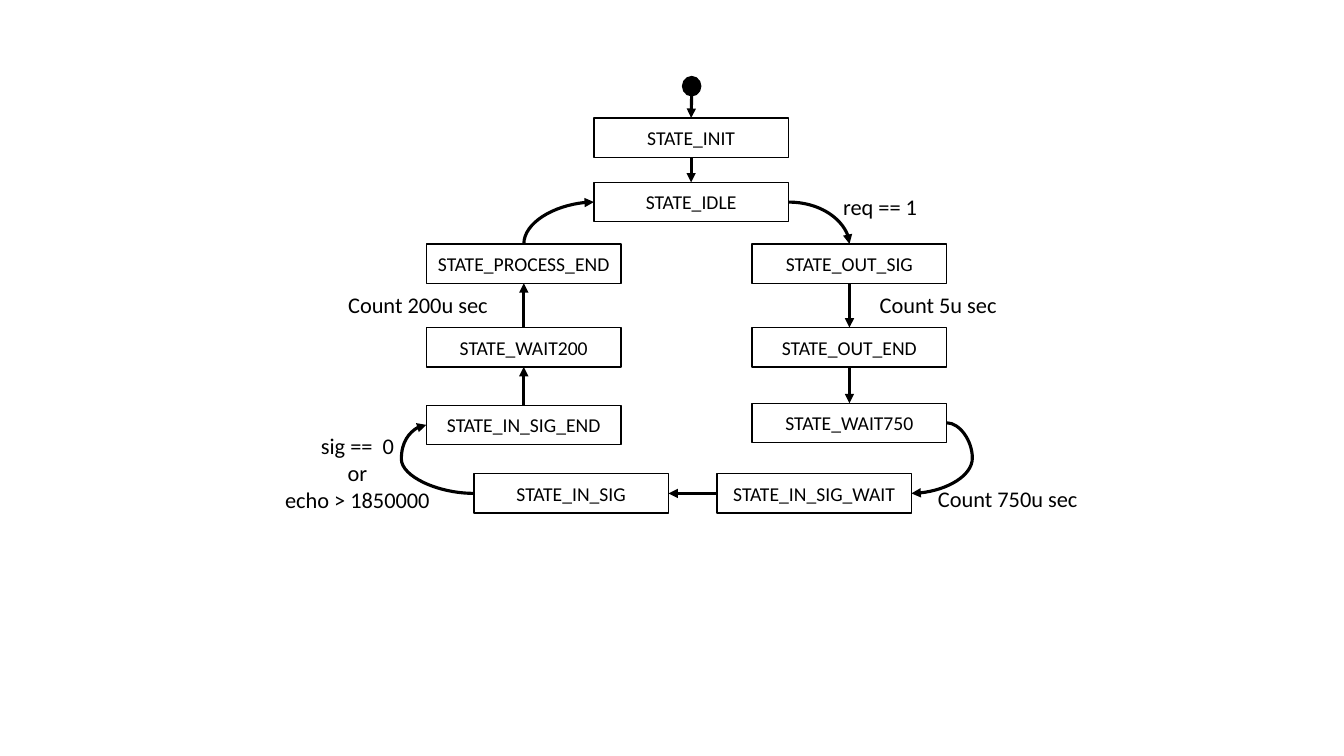
from lxml.etree import SubElement
from pptx import Presentation
from pptx.dml.color import RGBColor
from pptx.enum.shapes import MSO_CONNECTOR, MSO_SHAPE
from pptx.enum.text import MSO_ANCHOR, MSO_AUTO_SIZE, PP_ALIGN
from pptx.oxml.ns import qn
from pptx.util import Pt

EMU_PER_PX = 9144
BLACK, WHITE = "000000", "FFFFFF"
STATE_W, STATE_H = 193, 39
TOP, LEFT, BOTTOM, RIGHT = range(4)

STATES = {
    "STATE_INIT": (589, 117),
    "STATE_IDLE": (589, 181),
    "STATE_OUT_SIG": (746, 242),
    "STATE_OUT_END": (746, 325),
    "STATE_WAIT750": (746, 400),
    "STATE_IN_SIG_WAIT": (711, 470),
    "STATE_IN_SIG": (470, 470),
    "STATE_IN_SIG_END": (423, 402),
    "STATE_WAIT200": (423, 325),
    "STATE_PROCESS_END": (423, 242),
}
STRAIGHT_STEPS = [
    ("STATE_INIT", BOTTOM, "STATE_IDLE", TOP),
    ("STATE_OUT_SIG", BOTTOM, "STATE_OUT_END", TOP),
    ("STATE_OUT_END", BOTTOM, "STATE_WAIT750", TOP),
    ("STATE_IN_SIG_WAIT", LEFT, "STATE_IN_SIG", RIGHT),
    ("STATE_IN_SIG_END", TOP, "STATE_WAIT200", BOTTOM),
    ("STATE_WAIT200", TOP, "STATE_PROCESS_END", BOTTOM),
]
CONDITIONS = [
    ("req == 1", 810, 187, 126, 37),
    ("Count 5u sec", 852, 284, 157, 37),
    ("Count 750u sec", 902, 476, 195, 37),
    ("sig ==  0\nor\necho > 1850000", 257, 424, 195, 91),
    ("Count 200u sec", 319, 284, 191, 37),
]


def px(length):
    """Turn pixels into EMU."""
    return length * EMU_PER_PX


def color(hex_code):
    """Turn a hex string into a colour."""
    return RGBColor.from_string(hex_code)


def write(frame, text, size):
    """Put centred black text into a frame."""
    frame.text = text
    frame.word_wrap = True
    for paragraph in frame.paragraphs:
        paragraph.alignment = PP_ALIGN.CENTER
        for run in paragraph.runs:
            run.font.size = Pt(size)
            run.font.name = "Calibri"
            run.font.color.rgb = color(BLACK)


def add_outlined(slide, preset, x, y, width, height, fill):
    """Add a filled shape with a thin black outline."""
    shape = slide.shapes.add_shape(preset, px(x), px(y), px(width), px(height))
    shape.shadow.inherit = False
    shape.fill.solid()
    shape.fill.fore_color.rgb = color(fill)
    shape.line.color.rgb = color(BLACK)
    shape.line.width = Pt(1)
    return shape


def add_state(slide, name, x, y):
    """Add one state box."""
    state = add_outlined(slide, MSO_SHAPE.RECTANGLE, x, y, STATE_W, STATE_H, WHITE)
    state.text_frame.vertical_anchor = MSO_ANCHOR.MIDDLE
    write(state.text_frame, name, 14)
    return state


def add_condition(slide, text, x, y, width, height):
    """Add the label of a transition."""
    condition = slide.shapes.add_textbox(px(x), px(y), px(width), px(height))
    write(condition.text_frame, text, 16)
    condition.text_frame.auto_size = MSO_AUTO_SIZE.SHAPE_TO_FIT_TEXT


def add_arrow(slide, kind, start=(0, 0), end=(0, 0)):
    """Add a thick black connector with an arrowhead."""
    arrow = slide.shapes.add_connector(kind, *map(px, start + end))
    arrow.line.color.rgb = color(BLACK)
    arrow.line.width = Pt(2.25)
    SubElement(arrow.line._get_or_add_ln(), qn("a:tailEnd"), type="triangle")
    SubElement(arrow._element.spPr, qn("a:effectLst"))
    return arrow


def add_step(slide, states, source, source_side, target, target_side,
             kind=MSO_CONNECTOR.STRAIGHT):
    """Join two states with an arrow."""
    step = add_arrow(slide, kind)
    step.begin_connect(states[source], source_side)
    step.end_connect(states[target], target_side)
    return step


def shape_curve(curve, preset, bend=None):
    """Set the preset of a curve and how far it bulges, in 1/100000 of its width."""
    geometry = curve._element.spPr.find(qn("a:prstGeom"))
    geometry.set("prst", preset)
    if bend is not None:
        SubElement(geometry.find(qn("a:avLst")), qn("a:gd"), name="adj1", fmla=f"val {bend}")


def turn_upward(curve):
    """Make a curve leave upward and arrive rightward by a quarter turn."""
    width, height = curve.width, curve.height
    curve.left += (width - height) // 2
    curve.top += (height - width) // 2
    curve.width, curve.height = height, width
    frame = curve._element.spPr.find(qn("a:xfrm"))
    for key, value in (("rot", "5400000"), ("flipH", "1"), ("flipV", "1")):
        frame.set(key, value)


def add_curves(slide, states):
    """Add the four curved transitions."""
    curved = MSO_CONNECTOR.CURVE
    request = add_step(slide, states, "STATE_IDLE", RIGHT, "STATE_OUT_SIG", TOP, curved)
    shape_curve(request, "curvedConnector2")
    timeout = add_step(slide, states, "STATE_WAIT750", RIGHT,
                       "STATE_IN_SIG_WAIT", RIGHT, curved)
    shape_curve(timeout, "curvedConnector3", -72600)
    echo = add_step(slide, states, "STATE_IN_SIG", LEFT, "STATE_IN_SIG_END", LEFT, curved)
    shape_curve(echo, "curvedConnector3", 152900)
    restart = add_step(slide, states, "STATE_PROCESS_END", TOP, "STATE_IDLE", LEFT, curved)
    shape_curve(restart, "curvedConnector2")
    turn_upward(restart)


def main():
    """Build the state diagram."""
    deck = Presentation()
    deck.slide_width, deck.slide_height = px(1333), px(750)
    slide = deck.slides.add_slide(deck.slide_layouts[6])
    states = {name: add_state(slide, name, *place) for name, place in STATES.items()}
    add_outlined(slide, MSO_SHAPE.OVAL, 677, 76, 18, 19, BLACK)
    entry = add_arrow(slide, MSO_CONNECTOR.STRAIGHT, (686, 95), (686, 117))
    entry.end_connect(states["STATE_INIT"], TOP)
    for step in STRAIGHT_STEPS:
        add_step(slide, states, *step)
    add_curves(slide, states)
    for condition in CONDITIONS:
        add_condition(slide, *condition)
    deck.save("out.pptx")


if __name__ == "__main__":
    main()
